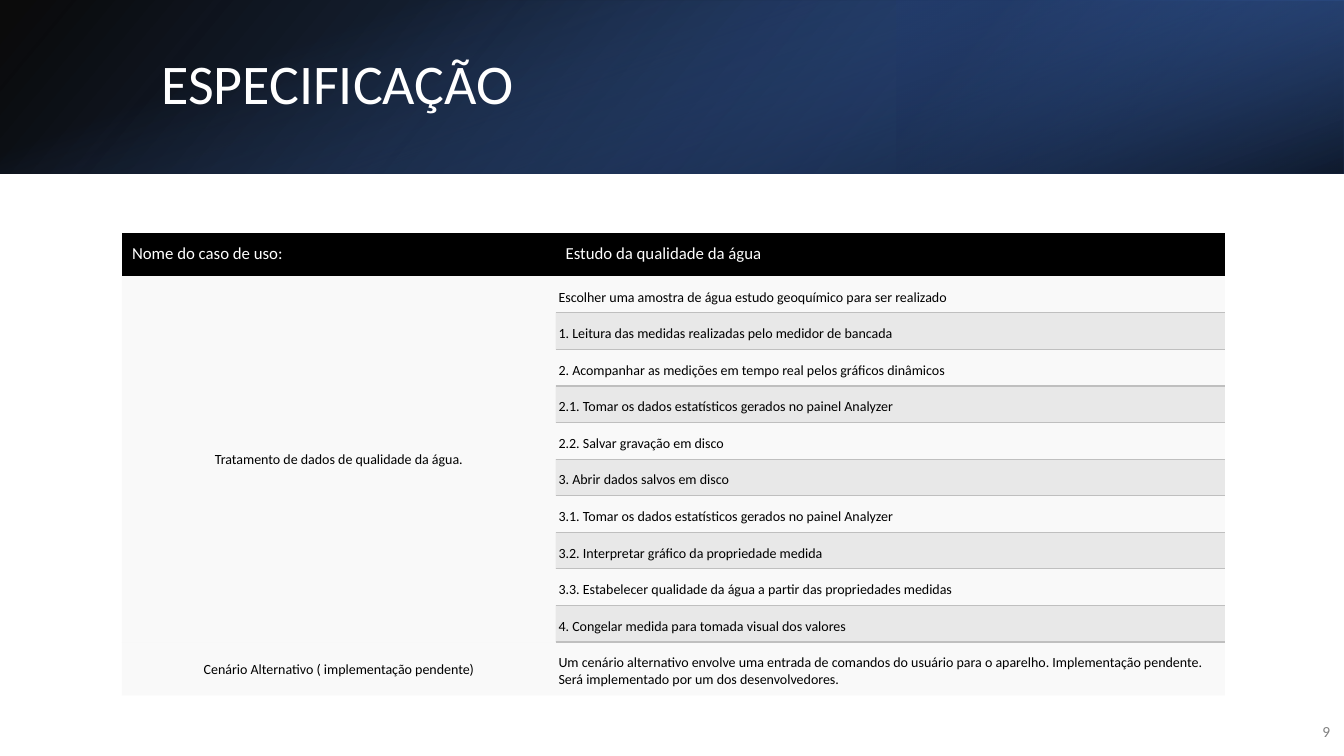
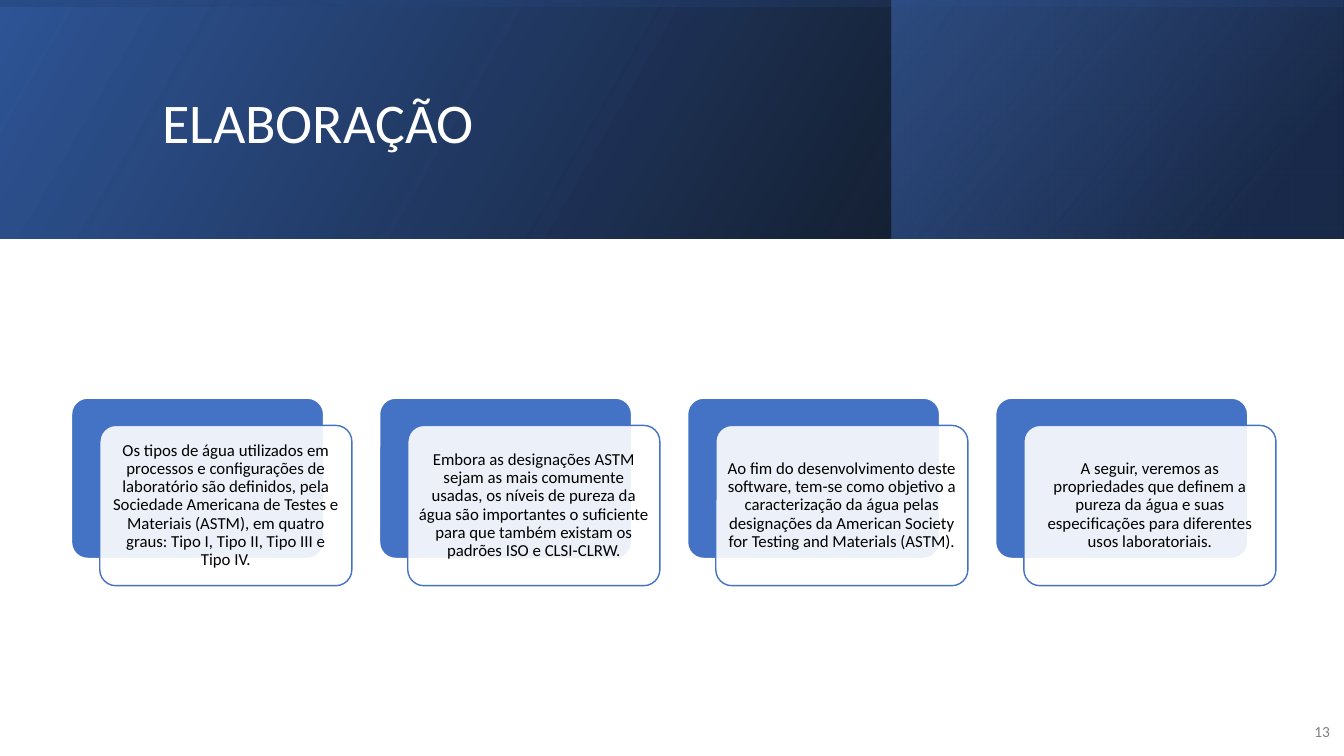
from dataclasses import dataclass
from typing import Any, Optional

from lxml import etree
from pptx import Presentation
from pptx.dml.color import RGBColor
from pptx.enum import shapes, text
from pptx.oxml.ns import qn
from pptx.util import Inches, Pt


# Theme: colours and type sizes
@dataclass(frozen=True)
class Theme:
    font: str = "Calibri"
    black: str = "000000"
    white: str = "FFFFFF"
    blue: str = "4472C4"
    deep: str = "2F5597"
    navy: str = "203864"
    pale: str = "F2F2F2"
    rule: str = "BFBFBF"
    grey: str = "808080"
    title: int = 40
    text: int = 12
    cell: int = 10
    page: int = 11


T = Theme()
LEFT, MID, RIGHT = text.PP_ALIGN.LEFT, text.PP_ALIGN.CENTER, text.PP_ALIGN.RIGHT
CENTRE, BASE = text.MSO_ANCHOR.MIDDLE, text.MSO_ANCHOR.BOTTOM


@dataclass(frozen=True)
class Box:
    left: float
    top: float
    width: float
    height: float

    def emu(self) -> list[int]:
        return [Inches(n) for n in (self.left, self.top, self.width, self.height)]


@dataclass(frozen=True)
class Stop:
    place: int
    hue: str
    alpha: int = 100


@dataclass(frozen=True)
class Band:
    box: Box
    angle: int
    stops: tuple[Stop, Stop]
    turn: int = 0
    flip: bool = True


# Shared helpers
def fade(clr: Any, alpha: int) -> None:
    if alpha < 100:
        etree.SubElement(clr, qn("a:alpha")).set("val", str(alpha * 1000))


def paint(part: Any, props: Any, hue: str, alpha: int = 100) -> None:
    part.fill.solid()
    part.fill.fore_color.rgb = RGBColor.from_string(hue)
    fade(props.find(qn("a:solidFill"))[0], alpha)


def write(frame: Any, words: str, size: int, hue: str,
          align: Any = LEFT, space: Optional[float] = None) -> None:
    para = frame.paragraphs[0]
    para.alignment = align
    if space:
        para.line_spacing = space
    run = para.add_run()
    run.text = words
    run.font.name = T.font
    run.font.size = Pt(size)
    run.font.color.rgb = RGBColor.from_string(hue)


def inset(part: Any, left: float, top: float, right: float, base: float) -> None:
    part.margin_left, part.margin_top = Inches(left), Inches(top)
    part.margin_right, part.margin_bottom = Inches(right), Inches(base)


def draw_band(slide: Any, band: Band) -> None:
    shape = slide.shapes.add_shape(shapes.MSO_SHAPE.RECTANGLE, *band.box.emu())
    shape.shadow.inherit = False
    shape.line.fill.background()
    shape.rotation = band.turn
    props = shape._element.spPr
    if band.flip:
        props.find(qn("a:xfrm")).set("flipH", "1")
    shape.fill.gradient()
    shape.fill.gradient_angle = 360 - band.angle
    for mark, stop in zip(shape.fill.gradient_stops, band.stops):
        mark.position = stop.place / 100
        mark.color.rgb = RGBColor.from_string(stop.hue)
    for clr, stop in zip(props.iter(qn("a:srgbClr")), band.stops):
        fade(clr, stop.alpha)


def add_slide(deck: Any, name: str, box: Box, page: str, bands: list[Band]) -> Any:
    slide = deck.slides.add_slide(deck.slide_layouts[5])
    for band in bands:
        draw_band(slide, band)

    # Title placeholder, raised above the bands
    title = slide.shapes.title
    title.left, title.top, title.width, title.height = box.emu()
    slide.shapes._spTree.append(title._element)
    frame = title.text_frame
    frame.auto_size = text.MSO_AUTO_SIZE.NONE
    frame.vertical_anchor = CENTRE
    write(frame, name, T.title, T.white, space=0.9)

    # Page number
    frame = slide.shapes.add_textbox(*Box(12.8, 7.06, 0.49, 0.4).emu()).text_frame
    frame.word_wrap = True
    frame.vertical_anchor = CENTRE
    write(frame, page, T.page, T.grey, RIGHT)
    return slide


# Table parts
def edge(cell: Any, side: str) -> None:
    line = etree.SubElement(cell._tc.get_or_add_tcPr(), qn(f"a:{side}"))
    line.set("w", str(Pt(1)))
    fill = etree.SubElement(line, qn("a:solidFill"))
    etree.SubElement(fill, qn("a:srgbClr")).set("val", T.rule)


def fill_cell(cell: Any, words: str, hue: str, alpha: int,
              align: Any = LEFT, anchor: Any = CENTRE, head: bool = False) -> None:
    inset(cell, *((0.1, 0.09, 0.1, 0.1) if head else (0.03, 0.09, 0.03, 0.07)))
    cell.vertical_anchor = anchor
    paint(cell, cell._tc.get_or_add_tcPr(), hue, alpha)
    write(cell.text_frame, words, T.text if head else T.cell,
          T.white if head else T.black, align)


def draw_table(slide: Any, box: Box, heads: list[str], task: str,
               steps: list[str], last: list[str]) -> None:
    end = len(steps) + 1
    table = slide.shapes.add_table(end + 1, 2, *box.emu()).table
    table.first_row = table.horz_banding = False
    plain = "{2D5ABB26-0587-4C30-8999-92F81FD0307C}"
    table._tbl.tblPr.find(qn("a:tableStyleId")).text = plain
    for col, width in zip(table.columns, (4.3, 6.64)):
        col.width = Inches(width)
    top, base = 0.43, 0.53
    for row in table.rows:
        row.height = Inches((box.height - top - base) / len(steps))
    table.rows[0].height, table.rows[end].height = Inches(top), Inches(base)

    for col, words in enumerate(heads):
        fill_cell(table.cell(0, col), words, T.black, 100, head=True)
    table.cell(1, 0).merge(table.cell(end - 1, 0))
    fill_cell(table.cell(1, 0), task, T.pale, 45, MID)
    for row, words in enumerate(steps, 1):
        cell = table.cell(row, 1)
        odd = row % 2 == 1
        edge(cell, "lnB" if odd else "lnT")
        fill_cell(cell, words, *((T.pale, 45) if odd else (T.rule, 35)), anchor=BASE)
    fill_cell(table.cell(end, 0), last[0], T.pale, 45, MID)
    fill_cell(table.cell(end, 1), last[1], T.pale, 45, anchor=BASE)


# Card parts
def draw_plate(slide: Any, box: Box, hue: str, line: str, alpha: int = 100) -> Any:
    plate = slide.shapes.add_shape(shapes.MSO_SHAPE.ROUNDED_RECTANGLE, *box.emu())
    plate.adjustments[0] = 0.1
    plate.shadow.inherit = False
    paint(plate, plate._element.spPr, hue, alpha)
    plate.line.color.rgb = RGBColor.from_string(line)
    plate.line.width = Pt(1)
    return plate


def draw_card(slide: Any, left: float, words: str) -> None:
    top, width, height, shift = 3.95, 2.5, 1.59, 0.28
    draw_plate(slide, Box(left, top, width, height), T.blue, T.white)
    front = draw_plate(slide, Box(left + shift, top + 0.27, width, height),
                       T.white, T.blue, 90)
    frame = front.text_frame
    frame.word_wrap = True
    frame.vertical_anchor = CENTRE
    inset(frame, 0.05, 0.05, 0.05, 0.05)
    write(frame, words, T.text, T.black, MID, 0.9)


deck = Presentation()
deck.slide_width, deck.slide_height = Inches(13.33), Inches(7.5)
base = (Stop(0, T.black, 96), Stop(100, T.deep))

# Slide 1: use case table
spec = add_slide(deck, "ESPECIFICAÇÃO", Box(1.5, 0.38, 10.98, 0.96), "9", [
    Band(Box(0, 0, 13.33, 1.72), 140, base),
    Band(Box(8.89, 0, 4.44, 1.72), 320,
         (Stop(19, T.navy, 68), Stop(100, T.blue, 79)), turn=180),
    Band(Box(5.8, -5.8, 1.72, 13.33), 340,
         (Stop(23, T.blue, 0), Stop(99, T.black, 74)), turn=90, flip=False),
])
draw_table(
    spec, Box(1.21, 2.31, 10.94, 4.59),
    ["Nome do caso de uso:", "Estudo da qualidade da água"],
    "Tratamento de dados de qualidade da água.",
    [
        "Escolher uma amostra de água estudo geoquímico para ser realizado",
        "1. Leitura das medidas realizadas pelo medidor de bancada",
        "2. Acompanhar as medições em tempo real pelos gráficos dinâmicos",
        "2.1. Tomar os dados estatísticos gerados no painel Analyzer",
        "2.2. Salvar gravação em disco",
        "3. Abrir dados salvos em disco",
        "3.1. Tomar os dados estatísticos gerados no painel Analyzer",
        "3.2. Interpretar gráfico da propriedade medida",
        "3.3. Estabelecer qualidade da água a partir das propriedades medidas",
        "4. Congelar medida para tomada visual dos valores",
    ],
    ["Cenário Alternativo ( implementação pendente)",
     "Um cenário alternativo envolve uma entrada de comandos do usuário para o "
     "aparelho. Implementação pendente. Será implementado por um dos "
     "desenvolvedores."],
)

# Slide 2: row of cards
plan = add_slide(deck, "ELABORAÇÃO", Box(1.51, 0.38, 10.63, 1.72), "13", [
    Band(Box(0, 0, 13.33, 2.37), 330, base),
    Band(Box(8.84, 0, 4.48, 2.37), 320,
         (Stop(19, T.navy, 68), Stop(100, T.blue, 48))),
    Band(Box(5.48, -5.48, 2.37, 13.33), 350,
         (Stop(23, T.deep, 16), Stop(99, T.black, 45)), turn=270),
])
cards = [
    "Os tipos de água utilizados em processos e configurações de laboratório são "
    "definidos, pela Sociedade Americana de Testes e Materiais (ASTM), em quatro "
    "graus: Tipo I, Tipo II, Tipo III e Tipo IV.",
    "Embora as designações ASTM sejam as mais comumente usadas, os níveis de "
    "pureza da água são importantes o suficiente para que também existam os "
    "padrões ISO e CLSI-CLRW.",
    "Ao fim do desenvolvimento deste software, tem-se como objetivo a "
    "caracterização da água pelas designações da American Society for Testing "
    "and Materials (ASTM).",
    "A seguir, veremos as propriedades que definem a pureza da água e suas "
    "especificações para diferentes usos laboratoriais.",
]
for spot, words in enumerate(cards):
    draw_card(plan, 0.71 + spot * 3.055, words)

deck.save("out.pptx")
